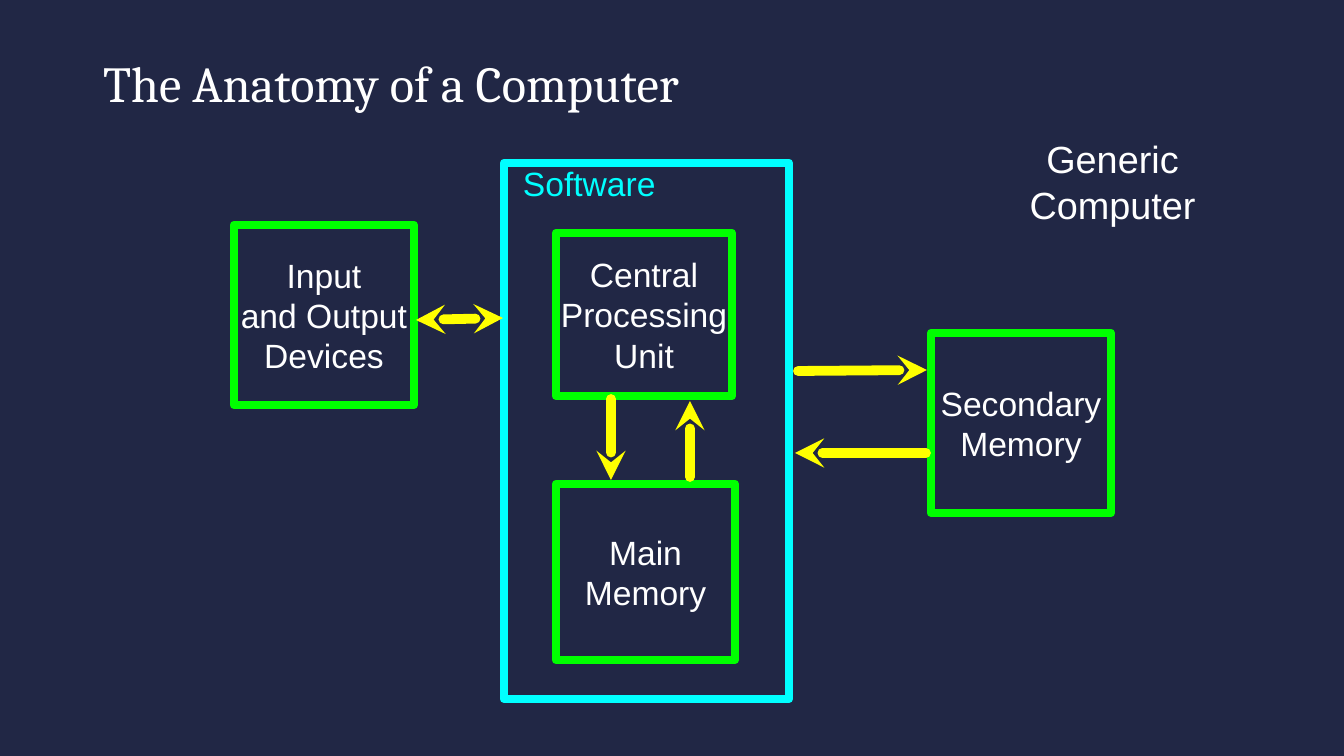
from lxml.etree import SubElement
from pptx import Presentation
from pptx.dml.color import RGBColor
from pptx.enum.shapes import MSO_CONNECTOR, MSO_SHAPE
from pptx.enum.text import MSO_ANCHOR, MSO_AUTO_SIZE, PP_ALIGN
from pptx.oxml.ns import qn
from pptx.util import Emu, Pt

PX = 914400 / 100.8
COLORS = {
    "background": "212745",
    "text": "FFFFFF",
    "software": "00FFFF",
    "hardware": "00FF00",
    "arrow": "FFFF00",
}


def px(*lengths):
    return [Emu(round(n * PX)) for n in lengths]


def write(sp, text, size, color, font="Arial", align=PP_ALIGN.CENTER, anchor=MSO_ANCHOR.MIDDLE):
    """Fill a shape with text, one paragraph per line."""
    tf = sp.text_frame
    tf.text = text
    tf.word_wrap = True
    tf.auto_size = MSO_AUTO_SIZE.NONE
    tf.vertical_anchor = anchor
    if not sp.is_placeholder:
        tf.margin_left = tf.margin_top = tf.margin_right = tf.margin_bottom = 0
    for p in tf.paragraphs:
        p.alignment = align
        for r in p.runs:
            r.font.name = font
            r.font.size = Pt(size)
            r.font.color.rgb = RGBColor.from_string(COLORS[color])


prs = Presentation()
prs.slide_width, prs.slide_height = px(1344, 756)
slide = prs.slides.add_slide(prs.slide_layouts[5])
slide.background.fill.solid()
slide.background.fill.fore_color.rgb = RGBColor.from_string(COLORS["background"])

title = slide.shapes.title
title.left, title.top, title.width, title.height = px(93, 40, 1159, 93)
write(title, "The Anatomy of a Computer", 36, "text", "Cambria", PP_ALIGN.LEFT)
title.text_frame.paragraphs[0].line_spacing = 0.9

boxes = [
    ("Software", (504, 163, 285, 536), "software"),
    ("Input\nand Output\nDevices", (234, 225, 180, 180), "hardware"),
    ("Central\nProcessing\nUnit", (556, 233, 176, 163), "hardware"),
    ("Main\nMemory", (556, 484, 179, 176), "hardware"),
    ("Secondary\nMemory", (931, 333, 180, 180), "hardware"),
]
for text, area, kind in boxes:
    sp = slide.shapes.add_shape(MSO_SHAPE.RECTANGLE, *px(*area))
    sp.shadow.inherit = False
    sp.fill.background()
    sp.line.color.rgb = RGBColor.from_string(COLORS[kind])
    sp.line.width = Pt(6)
    if kind == "software":
        write(sp, text, 24, "software", align=PP_ALIGN.LEFT, anchor=MSO_ANCHOR.TOP)
        sp.text_frame.margin_left = px(19)[0]
    else:
        write(sp, text, 24, "text")

# Start and end points, with the arrowheads each line carries
arrows = [
    ((416, 320, 503, 318), ("headEnd", "tailEnd")),
    ((611, 399, 611, 480), ("tailEnd",)),
    ((690, 477, 690, 401), ("tailEnd",)),
    ((798, 371, 927, 370), ("tailEnd",)),
    ((926, 453, 795, 453), ("tailEnd",)),
]
for points, heads in arrows:
    arrow = slide.shapes.add_connector(MSO_CONNECTOR.STRAIGHT, *px(*points))
    arrow.line.color.rgb = RGBColor.from_string(COLORS["arrow"])
    arrow.line.width = Pt(7)
    ln = arrow.line._get_or_add_ln()
    ln.set("cap", "rnd")
    SubElement(ln, qn("a:round"))
    for head in heads:
        SubElement(ln, qn(f"a:{head}"), type="stealth")
    SubElement(arrow._element.spPr, qn("a:effectLst"))

label = slide.shapes.add_textbox(*px(1028, 134, 169, 95))
write(label, "Generic\nComputer", 27, "text")

prs.save("out.pptx")
